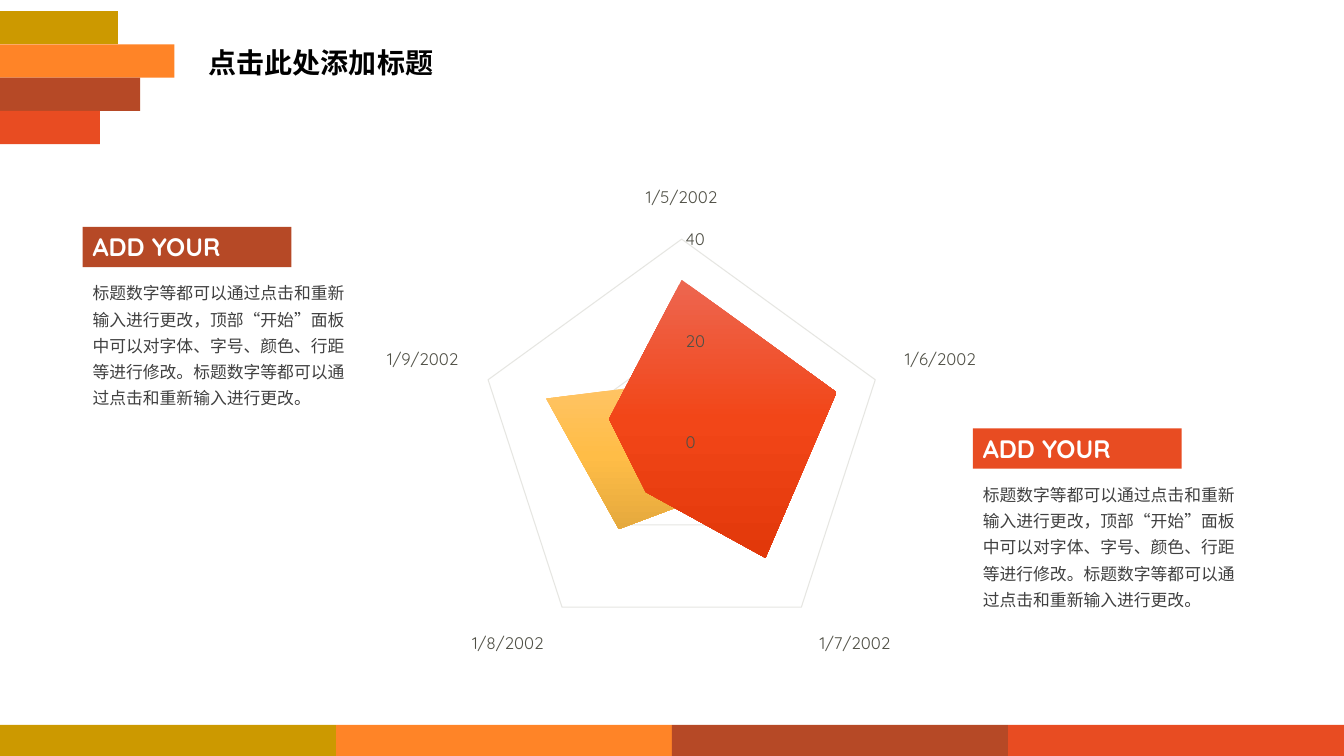
"""Build a slide with a filled radar chart and two captioned notes."""
from lxml import etree
from pptx import Presentation
from pptx.chart.data import CategoryChartData
from pptx.dml.color import RGBColor
from pptx.enum.chart import XL_CHART_TYPE, XL_TICK_MARK
from pptx.enum.shapes import MSO_SHAPE
from pptx.enum.text import MSO_ANCHOR, PP_ALIGN
from pptx.oxml.ns import qn
from pptx.util import Inches, Pt

RADAR = XL_CHART_TYPE.RADAR_FILLED
NO_TICK = XL_TICK_MARK.NONE
RECTANGLE = MSO_SHAPE.RECTANGLE
MIDDLE, TOP = MSO_ANCHOR.MIDDLE, MSO_ANCHOR.TOP
LEFT = PP_ALIGN.LEFT

WIDTH, HEIGHT = 13.33, 7.5
CJK, LATIN = "Noto Sans CJK SC", "Quicksand"
COLORS = {
    "olive": "CC9900", "orange": "FF8427", "rust": "B64926", "red": "E84C22",
    "black": "000000", "white": "FFFFFF", "body": "404040",
    "label": "505046", "grid": "E6E6E2",
}

TITLE = "点击此处添加标题"
HEADING = "ADD YOUR"
NOTE = ("标题数字等都可以通过点击和重新输入进行更改，顶部“开始”面板中可以对字体、字号、"
        "颜色、行距等进行修改。标题数字等都可以通过点击和重新输入进行更改。")
NOTES = [("red", 9.65, 4.25), ("rust", 0.82, 2.25)]
STRIPES = [("olive", 1.17), ("orange", 1.73), ("rust", 1.39), ("red", 0.99)]
STRIPE_TOP, STRIPE_HEIGHT = 0.11, 0.33
FOOTER_TOP = 7.19
DATES = ["1/5/2002", "1/6/2002", "1/7/2002", "1/8/2002", "1/9/2002"]
SERIES = [
    ("Series 1", (32, 32, 28, 12, 15), ("ED6650", "F24618", "E2380A")),
    ("Series 2", (12, 12, 12, 21, 28), ("FFC466", "FFBD47", "E5A93D")),
]


def rgb(name):
    return RGBColor.from_string(COLORS[name])


def add_block(slide, color, left, top, width, height):
    block = slide.shapes.add_shape(
        RECTANGLE, Inches(left), Inches(top), Inches(width), Inches(height))
    block.shadow.inherit = False
    block.fill.solid()
    block.fill.fore_color.rgb = rgb(color)
    block.line.fill.background()
    return block


def write(box, text, size, font, color, bold=False, spacing=1.0, anchor=TOP):
    frame = box.text_frame
    frame.word_wrap = True
    frame.vertical_anchor = anchor
    para = frame.paragraphs[0]
    para.alignment = LEFT
    para.line_spacing = spacing
    span = para.add_run()
    span.text = text
    span.font.size = Pt(size)
    span.font.bold = bold
    span.font.color.rgb = rgb(color)
    span.font.name = font
    east_asian = etree.SubElement(span.font._element, qn("a:ea"))
    east_asian.set("typeface", font)


def add_title(slide):
    title = slide.shapes.title
    title.left, title.top = Inches(1.97), Inches(0.35)
    title.width, title.height = Inches(4.88), Inches(0.58)
    write(title, TITLE, 20, CJK, "black", True, 0.9, MIDDLE)


def add_bars(slide):
    for row, (color, width) in enumerate(STRIPES):
        top = STRIPE_TOP + row * STRIPE_HEIGHT
        add_block(slide, color, 0, top, width, STRIPE_HEIGHT)
    share = WIDTH / len(STRIPES)
    for column, (color, _) in enumerate(STRIPES):
        add_block(slide, color, column * share, FOOTER_TOP, share,
                  HEIGHT - FOOTER_TOP)


def add_note(slide, color, left, top):
    heading = add_block(slide, color, left, top, 2.07, 0.4)
    write(heading, HEADING, 18, LATIN, "white", True)
    body = slide.shapes.add_textbox(
        Inches(left), Inches(top + 0.45), Inches(2.77), Inches(1.41))
    write(body, NOTE, 12, CJK, "body", spacing=1.3)


def fill_gradient(fill, series, stops):
    fill.gradient()
    fill.gradient_angle = 270
    stop_list = next(series._element.iter(qn("a:gsLst")))
    for old in list(stop_list):
        stop_list.remove(old)
    for index, color in enumerate(stops):
        stop = etree.SubElement(stop_list, qn("a:gs"), pos=str(index * 50000))
        etree.SubElement(stop, qn("a:srgbClr"), val=color)


def draw_line(line):
    line.color.rgb = rgb("grid")
    line.width = Pt(0.75)


def add_radar(slide):
    data = CategoryChartData()
    data.categories = DATES
    for name, values, _ in SERIES:
        data.add_series(name, values)
    chart = slide.shapes.add_chart(
        RADAR, Inches(3.14), Inches(1.76), Inches(7.24), Inches(4.82), data).chart
    chart.has_title = False
    chart.has_legend = False
    chart.font.size = Pt(10)
    chart.font.name = LATIN
    chart.font.color.rgb = rgb("black")
    plot = chart.plots[0]
    plot.vary_by_categories = False
    for series, (_, _, stops) in zip(plot.series, SERIES):
        fill_gradient(series.format.fill, series, stops)
        series.format.line.fill.background()
    for axis in (chart.category_axis, chart.value_axis):
        axis.major_tick_mark = axis.minor_tick_mark = NO_TICK
        font = axis.tick_labels.font
        font.size = Pt(12)
        font.name = LATIN
        font.color.rgb = rgb("label")
    chart.category_axis.has_major_gridlines = False
    draw_line(chart.category_axis.format.line)
    values = chart.value_axis
    values.minimum_scale, values.maximum_scale, values.major_unit = 0, 40, 20
    values.has_major_gridlines = True
    draw_line(values.major_gridlines.format.line)
    values.format.line.fill.background()


def main():
    deck = Presentation()
    deck.slide_width, deck.slide_height = Inches(WIDTH), Inches(HEIGHT)
    page = deck.slides.add_slide(deck.slide_layouts[5])
    add_bars(page)
    add_title(page)
    add_radar(page)
    for color, left, top in NOTES:
        add_note(page, color, left, top)
    deck.save("out.pptx")


if __name__ == "__main__":
    main()
